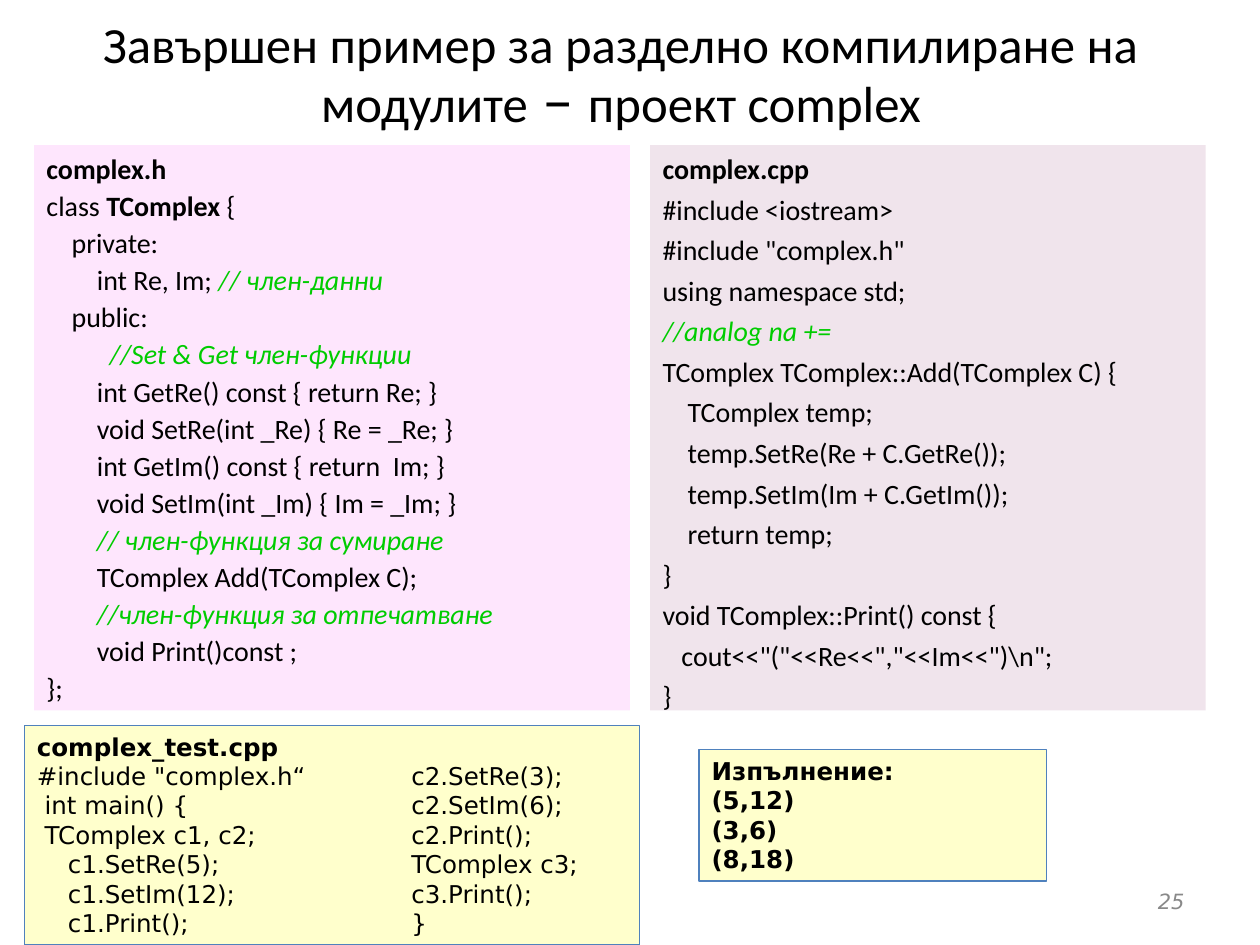
from dataclasses import dataclass, field
from typing import NamedTuple

from lxml.etree import SubElement
from pptx import Presentation
from pptx.dml.color import RGBColor
from pptx.enum.shapes import MSO_SHAPE
from pptx.enum.text import MSO_ANCHOR as ANCHOR
from pptx.enum.text import MSO_AUTO_SIZE as AUTO
from pptx.enum.text import PP_ALIGN as ALIGN
from pptx.oxml.ns import qn
from pptx.util import Pt

BLACK, GREEN, GREY = "000000", "00CC00", "898989"
PINK, MAUVE, YELLOW, BLUE = "FEE6FD", "F0E4EC", "FFFFCC", "4F81BD"
SANS, MONO = "Calibri", "DejaVu Sans"
COLUMN_TAB = 214


class Span(NamedTuple):
    text: str
    fmt: dict = {}
    color: str = BLACK


@dataclass
class Box:
    left: float
    top: float
    width: float
    height: float
    lines: list[list[Span]]
    font: dict
    fill: str | None = None
    line: str | None = None
    para: dict = field(default_factory=dict)
    space_before: float = 0
    tab: float | None = None
    frame: dict = field(default_factory=dict)


def rgb(value: str) -> RGBColor:
    return RGBColor.from_string(value)


def apply(target, values: dict) -> None:
    for name, value in values.items():
        setattr(target, name, value)


def code_line(line: str) -> list[Span]:
    code, mark, comment = line.partition("//")
    spans = [Span(code)] if code else []
    if mark:
        spans.append(Span(mark + comment, {"italic": True}, GREEN))
    return spans


def listing(heading: str, source: str) -> list[list[Span]]:
    lines = source.strip("\n").split("\n")
    return [[Span(heading, {"bold": True})], *map(code_line, lines)]


def add_tab(p, pos: float) -> None:
    tabs = SubElement(p._p.get_or_add_pPr(), qn("a:tabLst"))
    SubElement(tabs, qn("a:tab"), pos=str(Pt(pos)), algn="l")


def draw_box(s, box: Box) -> None:
    place = [Pt(v) for v in (box.left, box.top, box.width, box.height)]
    if box.fill:
        sp = s.shapes.add_shape(MSO_SHAPE.RECTANGLE, *place)
        sp.shadow.inherit = False
        sp.fill.solid()
        sp.fill.fore_color.rgb = rgb(box.fill)
        if box.line:
            sp.line.color.rgb = rgb(box.line)
            sp.line.width = Pt(0.75)
        else:
            sp.line.fill.background()
    else:
        sp = s.shapes.add_textbox(*place)
    tf = sp.text_frame
    apply(tf, {"word_wrap": True, "vertical_anchor": ANCHOR.TOP, **box.frame})
    for i, spans in enumerate(box.lines):
        p = tf.add_paragraph() if i else tf.paragraphs[0]
        apply(p, {"alignment": ALIGN.LEFT, **box.para})
        if i and box.space_before:
            p.space_before = Pt(box.space_before)
        if box.tab:
            add_tab(p, box.tab)
        for span in spans:
            r = p.add_run()
            r.text = span.text
            apply(r.font, {**box.font, **span.fmt})
            r.font.color.rgb = rgb(span.color)


HEADER = listing("complex.h", """
class TComplex {
    private:
        int Re, Im; // член-данни
    public:
          //Set & Get член-функции
        int GetRe() const { return Re; }
        void SetRe(int _Re) { Re = _Re; }
        int GetIm() const { return  Im; }
        void SetIm(int _Im) { Im = _Im; }
        // член-функция за сумиране
        TComplex Add(TComplex C);
        //член-функция за отпечатване
        void Print()const ;
};
""")
HEADER[1] = [Span("class "), Span("TComplex", {"bold": True}), Span(" {")]

SOURCE = listing("complex.cpp", r"""
#include <iostream>
#include "complex.h"
using namespace std;
//analog na +=
TComplex TComplex::Add(TComplex C) {
    TComplex temp;
    temp.SetRe(Re + C.GetRe());
    temp.SetIm(Im + C.GetIm());
    return temp;
}
void TComplex::Print() const {
   cout<<"("<<Re<<","<<Im<<")\n";
}
""")

TEST_COLUMNS = [
    ('#include "complex.h“', "c2.SetRe(3);"),
    (" int main() {", "c2.SetIm(6);"),
    (" TComplex c1, c2;", "c2.Print();"),
    ("    c1.SetRe(5);", "TComplex c3;"),
    ("    c1.SetIm(12);", "c3.Print();"),
    ("    c1.Print();", "}"),
]
TEST = listing("complex_test.cpp", "\n".join(map("\t".join, TEST_COLUMNS)))
OUTPUT = [[Span(t)] for t in ("Изпълнение:", "(5,12)", "(3,6)", "(8,18)")]
TITLE = [[
    Span("Завършен пример за разделно компилиране на модулите"),
    Span(" – ", {"size": Pt(36)}),
    Span("проект complex"),
]]

CODE_FONT = {"name": SANS, "size": Pt(16)}
TEST_FONT = {"name": MONO, "size": Pt(14)}
GROW = {"auto_size": AUTO.SHAPE_TO_FIT_TEXT}
MIDDLE = {"vertical_anchor": ANCHOR.MIDDLE}

BOXES = [
    Box(31, 15, 648, 61, TITLE, {"name": SANS, "size": Pt(29)},
        para={"alignment": ALIGN.CENTER, "line_spacing": 0.8}, frame=MIDDLE),
    Box(19.5, 83, 340.5, 323, HEADER, CODE_FONT, PINK, space_before=2),
    Box(516, 500.5, 168, 29, [[Span("25", {"italic": True}, GREY)]],
        {"name": MONO, "size": Pt(12)},
        para={"alignment": ALIGN.RIGHT}, frame=MIDDLE),
    Box(371.5, 83, 317.5, 323, SOURCE, CODE_FONT, MAUVE, space_before=4),
    Box(14, 414.5, 351.5, 125.5, TEST, TEST_FONT, YELLOW, BLUE,
        tab=COLUMN_TAB, frame=GROW),
    Box(399.5, 428.5, 198.5, 75, OUTPUT, {**TEST_FONT, "bold": True},
        YELLOW, BLUE, frame=GROW),
]


def main() -> None:
    prs = Presentation()
    apply(prs, {"slide_width": Pt(720), "slide_height": Pt(540)})
    s = prs.slides.add_slide(prs.slide_layouts[6])
    for box in BOXES:
        draw_box(s, box)
    prs.save("out.pptx")


if __name__ == "__main__":
    main()
